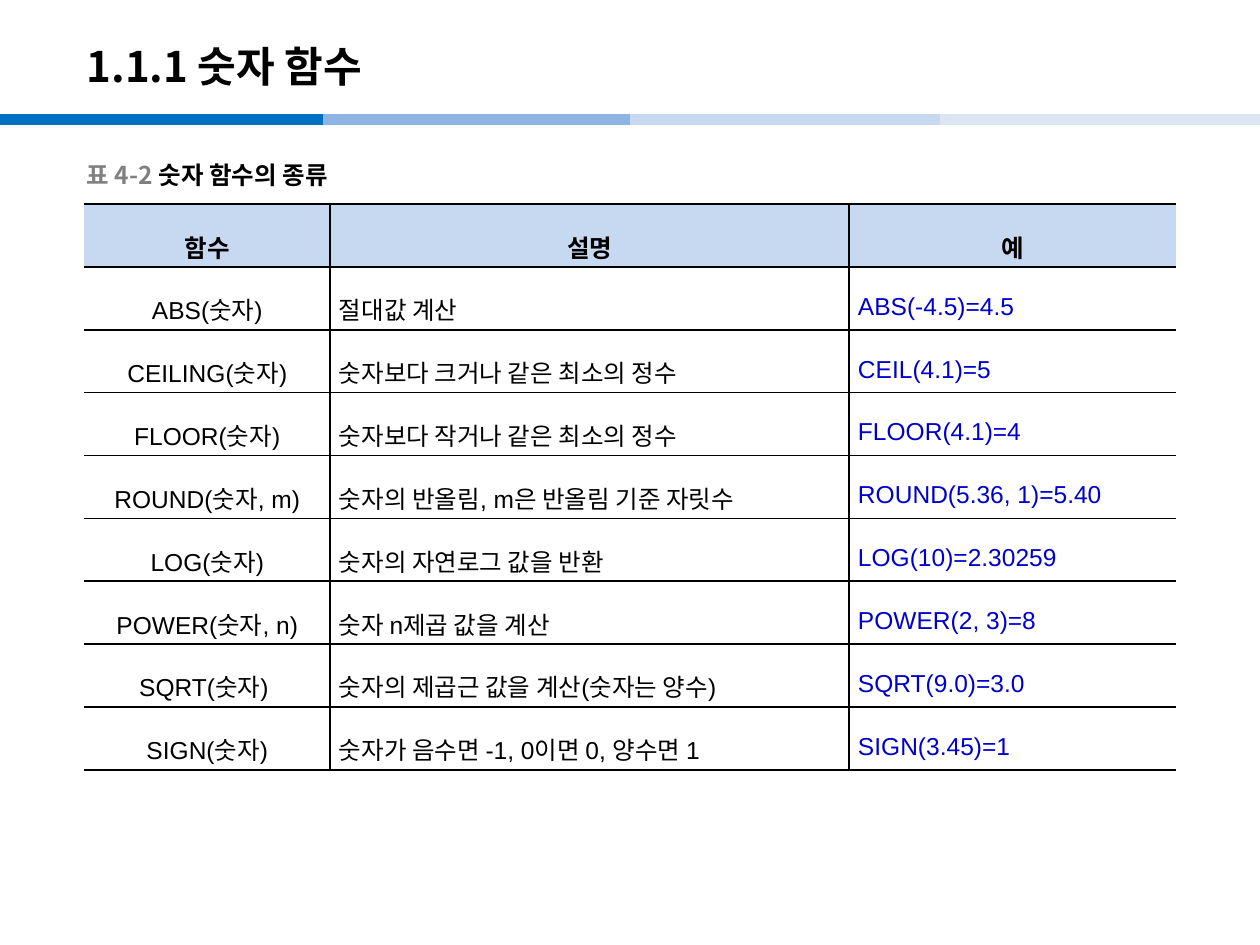
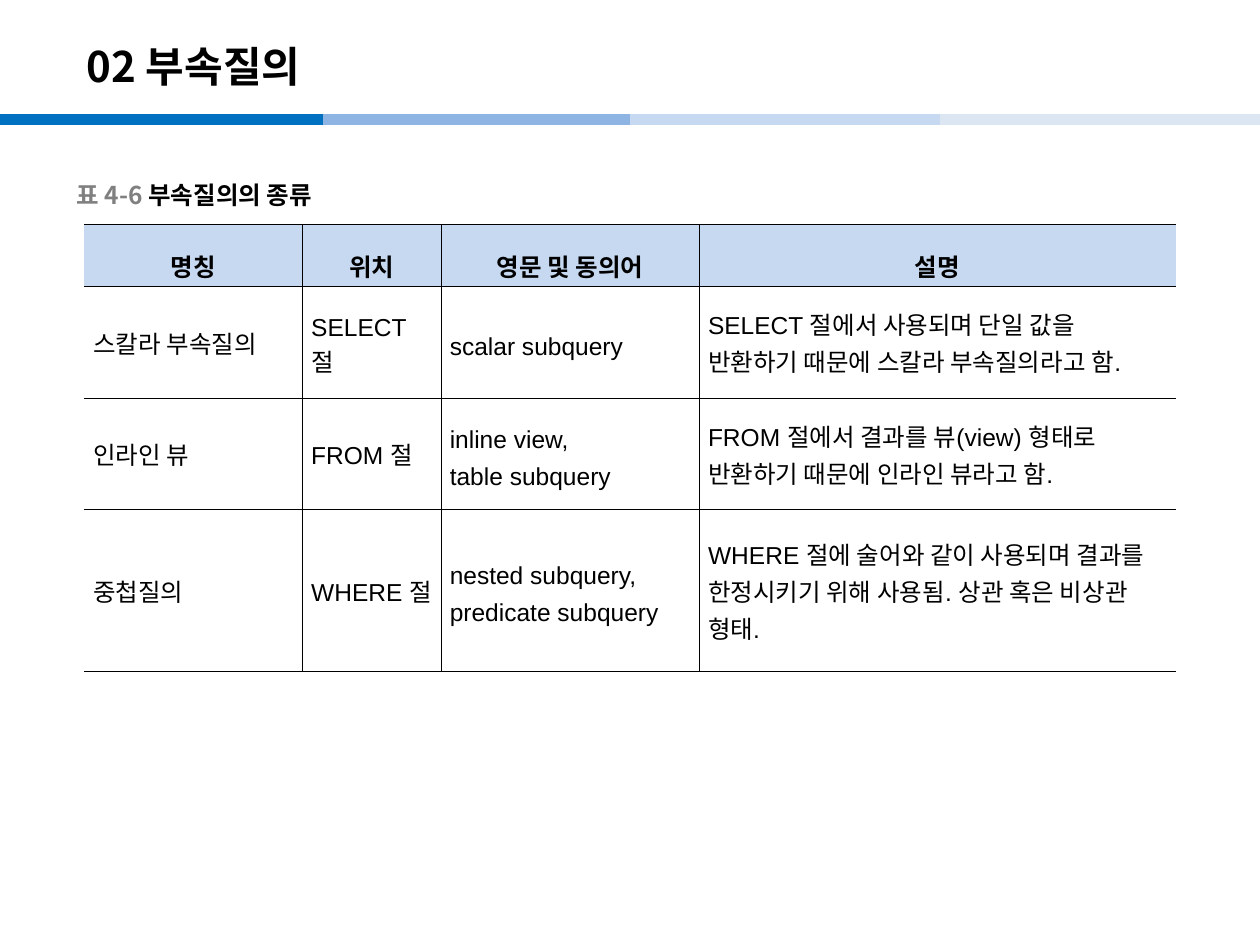
from dataclasses import dataclass

from lxml.etree import SubElement
from pptx import Presentation
from pptx.dml.color import RGBColor
from pptx.enum.shapes import MSO_CONNECTOR
from pptx.enum.text import MSO_ANCHOR, PP_ALIGN
from pptx.oxml import parse_xml
from pptx.oxml.ns import nsdecls, qn
from pptx.util import Inches, Pt


@dataclass(frozen=True)
class Theme:
    black: str = "000000"
    white: str = "FFFFFF"
    caption_gray: str = "808080"
    example_blue: str = "0000CC"
    header_fill: str = "C6D9F1"
    band_colors: tuple = ("0070C0", "8EB4E3", "C6D9F1", "DCE6F2")
    heading_font: str = "Noto Sans CJK KR"
    table_font: str = "Arial"
    title_size: int = 24
    body_size: int = 14


theme = Theme()
BAND_STARTS = (0, 2.56, 5, 7.46)
BAND_LENGTH = 2.56
BAND_TOP = 0.95

slides = [
    {
        "title": "1.1.1 숫자 함수",
        "caption": ("표 4-2 ", "숫자 함수의 종류"),
        "caption_at": (0.59, 1.23),
        "table_top": 1.62,
        "columns": (1.95, 4.12, 2.59),
        "row_heights": (4.49 / 9,) * 9,
        "border": 1,
        "line_spacing": 1.6,
        "alignments": (PP_ALIGN.CENTER, PP_ALIGN.JUSTIFY, PP_ALIGN.JUSTIFY),
        "colors": (theme.black, theme.black, theme.example_blue),
        "rows": [
            ("함수", "설명", "예"),
            ("ABS(숫자)", "절대값 계산", "ABS(-4.5)=4.5 "),
            ("CEILING(숫자)", "숫자보다 크거나 같은 최소의 정수 ", "CEIL(4.1)=5"),
            ("FLOOR(숫자)", "숫자보다 작거나 같은 최소의 정수 ", "FLOOR(4.1)=4"),
            ("ROUND(숫자, m)", "숫자의 반올림, m은 반올림 기준 자릿수 ", "ROUND(5.36, 1)=5.40"),
            ("LOG(숫자)", "숫자의 자연로그 값을 반환 ", "LOG(10)=2.30259 "),
            ("POWER(숫자, n)", "숫자 n제곱 값을 계산 ", "POWER(2, 3)=8"),
            ("SQRT(숫자) ", "숫자의 제곱근 값을 계산(숫자는 양수)", "SQRT(9.0)=3.0"),
            ("SIGN(숫자)", "숫자가 음수면 -1, 0이면 0, 양수면 1 ", "SIGN(3.45)=1"),
        ],
    },
    {
        "title": "02 부속질의",
        "caption": ("표 4-6 ", "부속질의의 종류"),
        "caption_at": (0.51, 1.39),
        "table_top": 1.78,
        "columns": (1.73, 1.1, 2.05, 3.78),
        "row_heights": (0.49, 0.89, 0.88, 1.29),
        "border": 0.28,
        "line_spacing": Pt(21),
        "alignments": (PP_ALIGN.LEFT,) * 4,
        "colors": (theme.black,) * 4,
        "rows": [
            ("명칭", "위치", "영문 및 동의어", "설명"),
            ("스칼라 부속질의", "SELECT 절", "scalar subquery",
             "SELECT 절에서 사용되며 단일 값을 반환하기 때문에 스칼라 부속질의라고 함."),
            ("인라인 뷰", "FROM 절", "inline view,\ntable subquery",
             "FROM 절에서 결과를 뷰(view) 형태로 반환하기 때문에 인라인 뷰라고 함."),
            ("중첩질의", "WHERE 절", "nested subquery,\npredicate subquery",
             "WHERE 절에 술어와 같이 사용되며 결과를 한정시키기 위해 사용됨. "
             "상관 혹은 비상관 형태."),
        ],
    },
]


def format_run(run, font_name, size, color, bold):
    """Set the Latin font and the Korean font of a run, with pair kerning off."""
    run.font.name = font_name
    run.font.size = Pt(size)
    run.font.bold = bold
    run.font.color.rgb = RGBColor.from_string(color)
    run.font._element.set("kern", "0")
    east_asian = SubElement(run.font._element, qn("a:ea"))
    east_asian.set("typeface", theme.heading_font)


def set_borders(cell, width, open_sides):
    """Rule all four sides of a cell except the open ones."""
    properties = cell._tc.get_or_add_tcPr()
    for position, side in enumerate("LRTB"):
        paint = "<a:noFill/>" if side in open_sides else (
            f'<a:solidFill><a:srgbClr val="{theme.black}"/></a:solidFill>')
        properties.insert(position, parse_xml(
            f'<a:ln{side} {nsdecls("a")} w="{Pt(width)}">{paint}</a:ln{side}>'))


presentation = Presentation()
presentation.slide_width = Inches(10)
presentation.slide_height = Inches(7.5)

for content in slides:
    slide = presentation.slides.add_slide(presentation.slide_layouts[6])

    for start, color in zip(BAND_STARTS, theme.band_colors):
        band = slide.shapes.add_connector(
            MSO_CONNECTOR.STRAIGHT, Inches(start), Inches(BAND_TOP),
            Inches(min(start + BAND_LENGTH, 10)), Inches(BAND_TOP))
        band.line.color.rgb = RGBColor.from_string(color)
        band.line.width = Pt(6)
        SubElement(band._element.spPr, qn("a:effectLst"))

    title = slide.shapes.add_textbox(Inches(0.59), Inches(0.22), Inches(8.27), Inches(0.6))
    title.text_frame.word_wrap = True
    title.text_frame.vertical_anchor = MSO_ANCHOR.MIDDLE
    title.text_frame.text = content["title"]
    format_run(title.text_frame.paragraphs[0].runs[0], theme.heading_font,
               theme.title_size, theme.black, True)

    columns, rows = content["columns"], content["rows"]
    table = slide.shapes.add_table(
        len(rows), len(columns), Inches(0.67), Inches(content["table_top"]),
        Inches(sum(columns)), Inches(sum(content["row_heights"]))).table
    table.horz_banding = False
    for column, width in zip(table.columns, columns):
        column.width = Inches(width)

    for row_index, texts in enumerate(rows):
        is_header = row_index == 0
        table.rows[row_index].height = Inches(content["row_heights"][row_index])
        for column_index, text in enumerate(texts):
            cell = table.cell(row_index, column_index)
            cell.margin_left = cell.margin_right = Inches(0.07)
            cell.margin_top = cell.margin_bottom = Inches(0.02)
            cell.vertical_anchor = MSO_ANCHOR.MIDDLE
            cell.fill.solid()
            cell.fill.fore_color.rgb = RGBColor.from_string(
                theme.header_fill if is_header else theme.white)
            open_sides = ("L" if column_index == 0 else
                          "R" if column_index == len(columns) - 1 else "")
            set_borders(cell, content["border"], open_sides)
            cell.text_frame.text = text
            for paragraph in cell.text_frame.paragraphs:
                paragraph.alignment = (PP_ALIGN.CENTER if is_header
                                       else content["alignments"][column_index])
                paragraph.line_spacing = 1.6 if is_header else content["line_spacing"]
                format_run(paragraph.runs[0], theme.table_font, theme.body_size,
                           theme.black if is_header else content["colors"][column_index],
                           is_header)

    left, top = content["caption_at"]
    caption = slide.shapes.add_textbox(Inches(left), Inches(top), Inches(2.4), Inches(0.31))
    caption.text_frame.word_wrap = True
    caption.text_frame.vertical_anchor = MSO_ANCHOR.MIDDLE
    for text, color in zip(content["caption"], (theme.caption_gray, theme.black)):
        run = caption.text_frame.paragraphs[0].add_run()
        run.text = text
        format_run(run, theme.heading_font, theme.body_size, color, True)

presentation.save("out.pptx")
